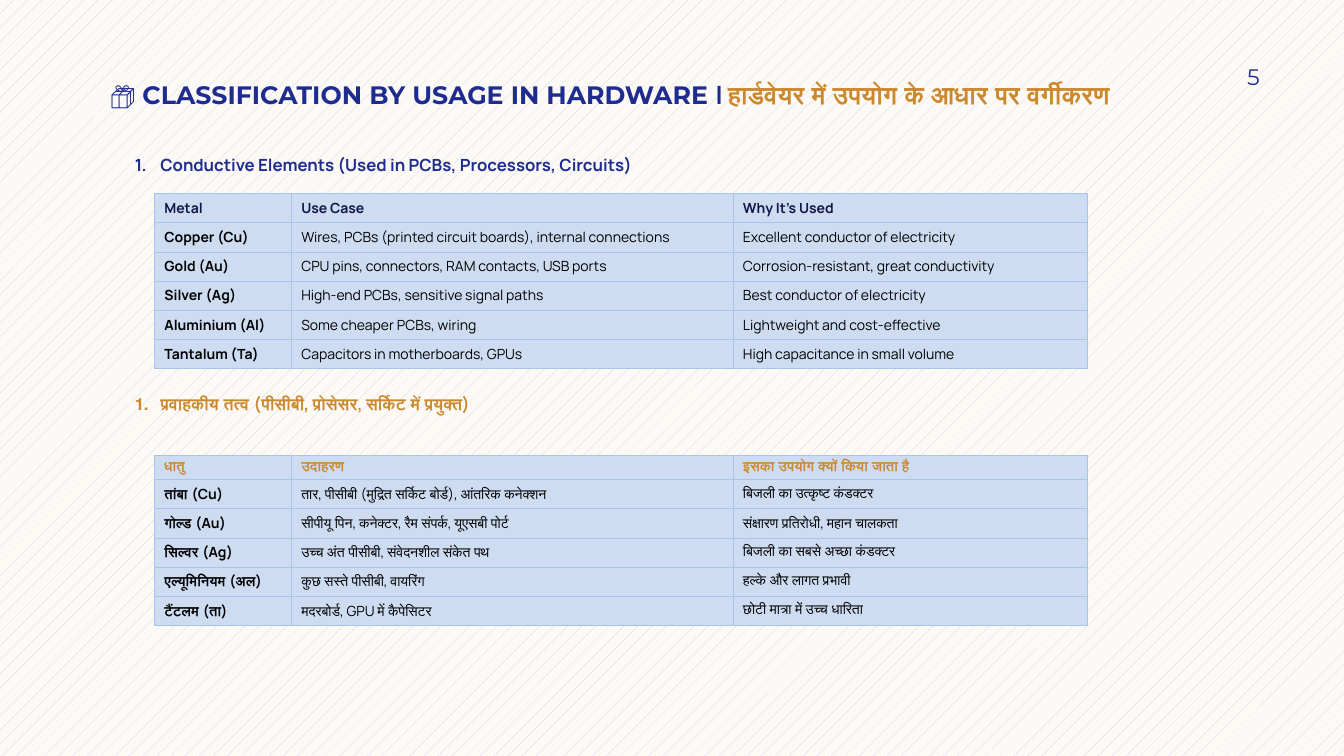
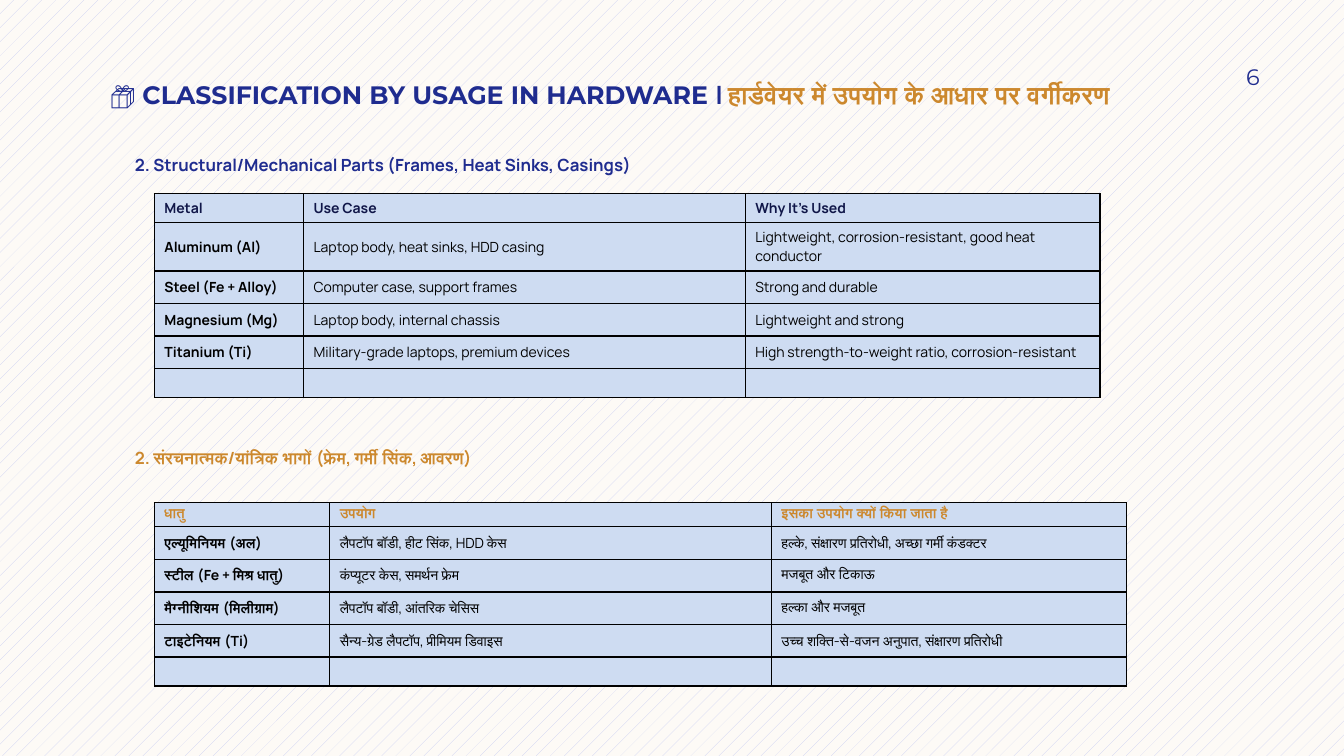
from dataclasses import dataclass

from pptx import Presentation
from pptx.dml.color import RGBColor
from pptx.enum.dml import MSO_PATTERN
from pptx.enum.text import MSO_ANCHOR as Anchor, MSO_AUTO_SIZE as AutoSize, PP_ALIGN as Align
from pptx.oxml.xmlchemy import OxmlElement
from pptx.util import Cm, Pt


@dataclass(frozen=True)
class Theme:
    navy: str = "1F2C8F"
    dark_navy: str = "101648"
    gold: str = "CC882D"
    black: str = "000000"
    pale_blue: str = "CEDCF2"
    border_blue: str = "AAC3E8"
    stripe: str = "C8CDF3"
    cream: str = "FDFAF6"
    display_font: str = "Montserrat"
    text_font: str = "Manrope"
    title_size: int = 18
    number_size: int = 16
    heading_size: int = 12
    table_size: int = 10


THEME = Theme()
TITLE_RUNS = (
    ("📦 CLASSIFICATION BY USAGE IN HARDWARE ", THEME.display_font, THEME.navy),
    ("| ", THEME.text_font, THEME.navy),
    ("हार्डवेयर में उपयोग के आधार पर वर्गीकरण", THEME.text_font, THEME.gold),
)
TABLE_LEFT = 3.89
USE_WIDTH, REASON_WIDTH = 11.13, 8.94


@dataclass(frozen=True)
class Section:
    """A heading and its table; positions and sizes are in centimetres."""
    heading: str
    heading_top: float
    heading_color: str
    header_color: str
    table_top: float
    metal_width: float
    row_heights: tuple
    rows: tuple
    border: tuple
    numbered: bool = False


BLUE_BORDER = (THEME.border_blue, 0.5)
BLACK_BORDER = (THEME.black, 1)

CONDUCTIVE = (
    Section(
        "Conductive Elements (Used in PCBs, Processors, Circuits)",
        3.89, THEME.navy, THEME.dark_navy, 4.88, 3.45, (0.71,) * 6,
        (
            ("Metal", "Use Case", "Why It’s Used"),
            ("Copper (Cu)", "Wires, PCBs (printed circuit boards), internal connections",
             "Excellent conductor of electricity"),
            ("Gold (Au)", "CPU pins, connectors, RAM contacts, USB ports",
             "Corrosion-resistant, great conductivity"),
            ("Silver (Ag)", "High-end PCBs, sensitive signal paths",
             "Best conductor of electricity"),
            ("Aluminium (Al)", "Some cheaper PCBs, wiring", "Lightweight and cost-effective"),
            ("Tantalum (Ta)", "Capacitors in motherboards, GPUs",
             "High capacitance in small volume"),
        ),
        BLUE_BORDER, numbered=True,
    ),
    Section(
        "प्रवाहकीय तत्व (पीसीबी, प्रोसेसर, सर्किट में प्रयुक्त)",
        9.93, THEME.gold, THEME.gold, 11.48, 3.45, (0.58,) + (0.71,) * 5,
        (
            ("धातु", "उदाहरण", "इसका उपयोग क्यों किया जाता है"),
            ("तांबा (Cu)", "तार, पीसीबी (मुद्रित सर्किट बोर्ड), आंतरिक कनेक्शन",
             "बिजली का उत्कृष्ट कंडक्टर"),
            ("गोल्ड (Au)", "सीपीयू पिन, कनेक्टर, रैम संपर्क, यूएसबी पोर्ट",
             "संक्षारण प्रतिरोधी, महान चालकता"),
            ("सिल्वर (Ag)", "उच्च अंत पीसीबी, संवेदनशील संकेत पथ",
             "बिजली का सबसे अच्छा कंडक्टर"),
            ("एल्यूमिनियम (अल)", "कुछ सस्ते पीसीबी, वायरिंग", "हल्के और लागत प्रभावी"),
            ("टैंटलम (ता)", "मदरबोर्ड, GPU में कैपेसिटर", "छोटी मात्रा में उच्च धारिता"),
        ),
        BLUE_BORDER, numbered=True,
    ),
)

STRUCTURAL = (
    Section(
        "2. Structural/Mechanical Parts (Frames, Heat Sinks, Casings)",
        3.89, THEME.navy, THEME.dark_navy, 4.88, 3.76, (0.73,) + (0.82,) * 4 + (0.73,),
        (
            ("Metal", "Use Case", "Why It’s Used"),
            ("Aluminum (Al)", "Laptop body, heat sinks, HDD casing",
             "Lightweight, corrosion-resistant, good heat conductor"),
            ("Steel (Fe + Alloy)", "Computer case, support frames", "Strong and durable"),
            ("Magnesium (Mg)", "Laptop body, internal chassis", "Lightweight and strong"),
            ("Titanium (Ti)", "Military-grade laptops, premium devices",
             "High strength-to-weight ratio, corrosion-resistant"),
            ("", "", ""),
        ),
        BLACK_BORDER,
    ),
    Section(
        "2. संरचनात्मक/यांत्रिक भागों (फ्रेम, गर्मी सिंक, आवरण)",
        11.28, THEME.gold, THEME.gold, 12.67, 4.42, (0.58,) + (0.82,) * 4 + (0.73,),
        (
            ("धातु", "उपयोग", "इसका उपयोग क्यों किया जाता है"),
            ("एल्यूमिनियम (अल)", "लैपटॉप बॉडी, हीट सिंक, HDD केस",
             "हल्के, संक्षारण प्रतिरोधी, अच्छा गर्मी कंडक्टर"),
            ("स्टील (Fe + मिश्र धातु)", "कंप्यूटर केस, समर्थन फ्रेम", "मजबूत और टिकाऊ"),
            ("मैग्नीशियम (मिलीग्राम)", "लैपटॉप बॉडी, आंतरिक चेसिस", "हल्का और मजबूत"),
            ("टाइटेनियम (Ti)", "सैन्य-ग्रेड लैपटॉप, प्रीमियम डिवाइस",
             "उच्च शक्ति-से-वजन अनुपात, संक्षारण प्रतिरोधी"),
            ("", "", ""),
        ),
        BLACK_BORDER,
    ),
)


def rgb(color):
    return RGBColor.from_string(color)


def format_run(run, size, font, color, bold=False):
    run.font.size = Pt(size)
    run.font.name = font
    run.font.bold = bold
    run.font.color.rgb = rgb(color)


def set_frame(text_frame, anchor, left=0.25, top=0, right=0.25, bottom=0):
    text_frame.word_wrap = True
    text_frame.auto_size = AutoSize.NONE
    text_frame.vertical_anchor = anchor
    text_frame.margin_left, text_frame.margin_right = Cm(left), Cm(right)
    text_frame.margin_top, text_frame.margin_bottom = Cm(top), Cm(bottom)


def set_background(master):
    fill = master.background.fill
    fill.patterned()
    fill.pattern = MSO_PATTERN.PERCENT_5
    fill.fore_color.rgb = rgb(THEME.stripe)
    fill.back_color.rgb = rgb(THEME.cream)


def add_title(slide):
    title = slide.shapes.title
    title.left, title.top, title.width, title.height = Cm(2.54), Cm(0), Cm(28.75), Cm(2.77)
    set_frame(title.text_frame, Anchor.BOTTOM)
    paragraph = title.text_frame.paragraphs[0]
    paragraph.alignment = Align.LEFT
    for text, font, color in TITLE_RUNS:
        run = paragraph.add_run()
        run.text = text
        format_run(run, THEME.title_size, font, color, bold=True)


def add_page_number(slide, number):
    box = slide.shapes.add_textbox(Cm(28.78), Cm(1.27), Cm(2.97), Cm(1.32))
    set_frame(box.text_frame, Anchor.MIDDLE, top=0.13, right=0, bottom=0.13)
    paragraph = box.text_frame.paragraphs[0]
    paragraph.text = str(number)
    paragraph.alignment = Align.RIGHT
    format_run(paragraph.runs[0], THEME.number_size, THEME.display_font, THEME.navy)


def number_paragraph(paragraph):
    """Give the paragraph an automatic number with a hanging indent."""
    properties = paragraph._p.get_or_add_pPr()
    properties.set("marL", str(Cm(0.64)))
    properties.set("indent", str(-Cm(0.64)))
    numbering = OxmlElement("a:buAutoNum")
    numbering.set("type", "arabicPeriod")
    properties.append(numbering)


def add_heading(slide, section):
    box = slide.shapes.add_textbox(Cm(3.15), Cm(section.heading_top), Cm(22.12), Cm(0.79))
    set_frame(box.text_frame, Anchor.TOP)
    paragraph = box.text_frame.paragraphs[0]
    paragraph.text = section.heading
    paragraph.space_before = Pt(10)
    if section.numbered:
        number_paragraph(paragraph)
    format_run(paragraph.runs[0], THEME.heading_size, THEME.text_font,
               section.heading_color, bold=True)


def set_borders(cell, color, width):
    properties = cell._tc.get_or_add_tcPr()
    for position, side in enumerate(("lnL", "lnR", "lnT", "lnB")):
        line = OxmlElement(f"a:{side}")
        line.set("w", str(Pt(width)))
        fill = OxmlElement("a:solidFill")
        line_color = OxmlElement("a:srgbClr")
        line_color.set("val", color)
        fill.append(line_color)
        line.append(fill)
        properties.insert(position, line)


def fill_cell(cell, text, color, bold, border):
    cell.fill.solid()
    cell.fill.fore_color.rgb = rgb(THEME.pale_blue)
    cell.vertical_anchor = Anchor.MIDDLE
    set_borders(cell, *border)
    paragraph = cell.text_frame.paragraphs[0]
    if text:
        paragraph.text = text
        format_run(paragraph.runs[0], THEME.table_size, THEME.text_font, color, bold)
    else:
        # An empty cell takes its line height from the end-of-paragraph size.
        end_properties = OxmlElement("a:endParaRPr")
        end_properties.set("sz", str(THEME.table_size * 100))
        paragraph._p.append(end_properties)


def add_metal_table(slide, section):
    widths = (section.metal_width, USE_WIDTH, REASON_WIDTH)
    table = slide.shapes.add_table(
        len(section.rows), len(widths), Cm(TABLE_LEFT), Cm(section.table_top),
        Cm(sum(widths)), Cm(sum(section.row_heights))).table
    table.horz_banding = False
    for column, width in zip(table.columns, widths):
        column.width = Cm(width)
    for row, height in zip(table.rows, section.row_heights):
        row.height = Cm(height)
    for row_index, texts in enumerate(section.rows):
        is_header = row_index == 0
        color = section.header_color if is_header else THEME.black
        for column_index, text in enumerate(texts):
            fill_cell(table.cell(row_index, column_index), text, color,
                      is_header or column_index == 0, section.border)


def add_metals_slide(presentation, number, sections):
    slide = presentation.slides.add_slide(presentation.slide_layouts.get_by_name("Title Only"))
    add_title(slide)
    add_page_number(slide, number)
    for section in sections:
        add_heading(slide, section)
        add_metal_table(slide, section)


def main():
    presentation = Presentation()
    presentation.slide_width, presentation.slide_height = Cm(33.87), Cm(19.05)
    set_background(presentation.slide_master)
    for number, sections in enumerate((CONDUCTIVE, STRUCTURAL), start=5):
        add_metals_slide(presentation, number, sections)
    presentation.save("out.pptx")


if __name__ == "__main__":
    main()
